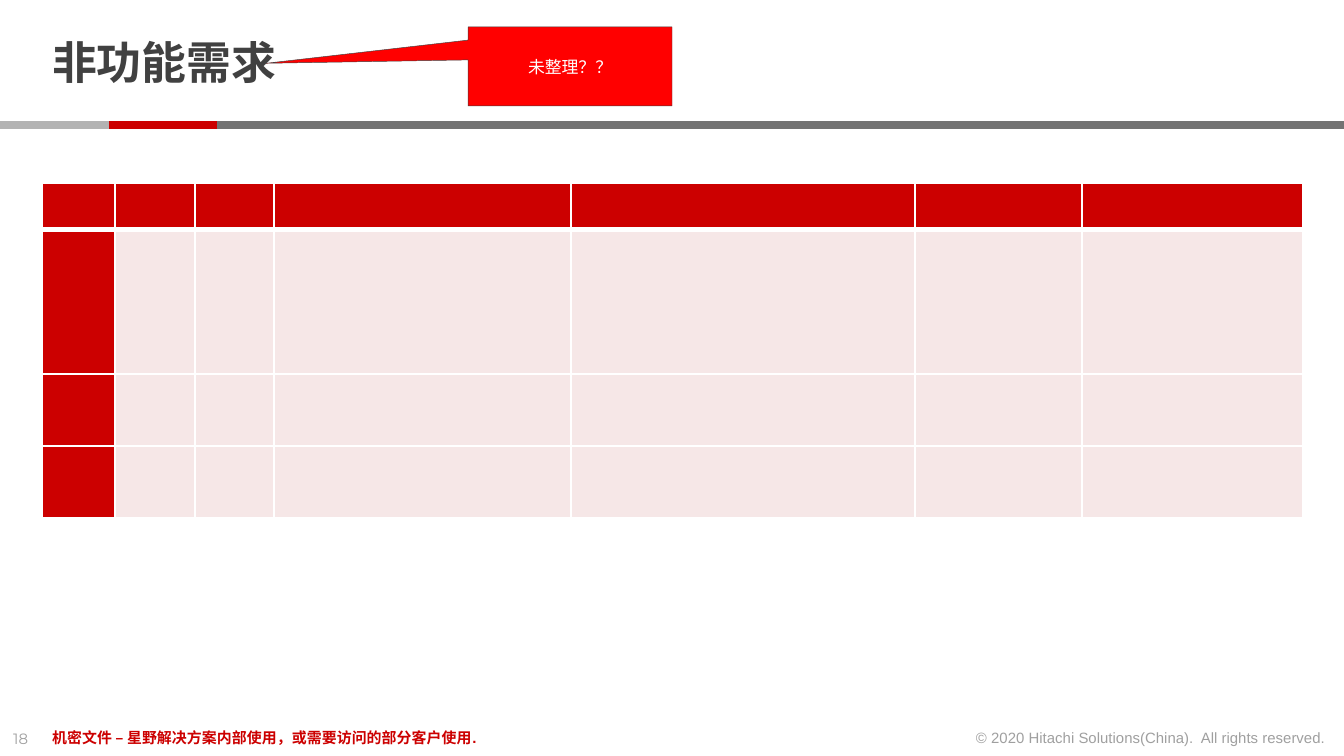
import pptx
import pptx.util
import pptx.dml.color
import pptx.enum.shapes
import pptx.enum.text
import pptx.oxml
import pptx.oxml.ns
from lxml import etree

PX = 914400 / 134.4
COLORS = {
    "red": "CC0000", "pink": "F6E7E7", "dark": "414141", "gray": "737373",
    "light": "B3B3B3", "white": "FFFFFF", "alert": "FF0000",
}
SHAPE = pptx.enum.shapes.MSO_SHAPE
ALIGN = pptx.enum.text.PP_ALIGN
MIDDLE = pptx.enum.text.MSO_ANCHOR.MIDDLE
COLUMNS = [73, 80, 79, 297, 344, 167, 221]
ROWS = [47, 144, 72, 72]


def px(n):
    return pptx.util.Emu(round(n * PX))


def rgb(name):
    return pptx.dml.color.RGBColor.from_string(COLORS[name])


def write(tf, text, size, font, color, bold=False, align=ALIGN.LEFT):
    """Fill the first paragraph of a frame and return it."""
    p = tf.paragraphs[0]
    p.text = text
    p.alignment = align
    p.font.size = pptx.util.Pt(size)
    p.font.name = font
    p.font.bold = bold
    p.font.color.rgb = rgb(color)
    return p


def add_text(s, box, text, size, font, color, wrap=True, **style):
    tf = s.shapes.add_textbox(*map(px, box)).text_frame
    tf.word_wrap = wrap
    return tf, write(tf, text, size, font, color, **style)


def fade(p):
    """Make the text of a paragraph half transparent."""
    for clr in p._p.iter(pptx.oxml.ns.qn("a:srgbClr")):
        etree.SubElement(clr, pptx.oxml.ns.qn("a:alpha"), val="50000")


def add_shape(s, kind, box, fill):
    sp = s.shapes.add_shape(kind, *map(px, box))
    sp.shadow.inherit = False
    sp.fill.solid()
    sp.fill.fore_color.rgb = rgb(fill)
    sp.line.fill.background()
    return sp


def add_title(s):
    tf, p = add_text(s, (39, 17, 1036, 98), "非功能需求", 24, "Montserrat", "dark", bold=True)
    tf.margin_top = tf.margin_bottom = 0
    tf.vertical_anchor = MIDDLE
    p.line_spacing = 0.85


def add_callout(s):
    sp = add_shape(s, SHAPE.RECTANGULAR_CALLOUT, (468, 27, 204, 79), "alert")
    sp.adjustments[0] = -1.49
    sp.adjustments[1] = -0.04
    sp.line.color.rgb = rgb("dark")
    sp.line.width = pptx.util.Pt(0.25)
    sp.text_frame.vertical_anchor = MIDDLE
    write(sp.text_frame, "未整理？？", 9, "Noto Sans CJK SC", "white", align=ALIGN.CENTER)


def set_borders(cell, bottom):
    tcPr = cell._tc.get_or_add_tcPr()
    widths = {"lnL": 1, "lnR": 1, "lnT": 1, "lnB": bottom}
    for i, (tag, width) in enumerate(widths.items()):
        tcPr.insert(i, pptx.oxml.parse_xml(
            f'<a:{tag} {pptx.oxml.ns.nsdecls("a")} w="{pptx.util.Pt(width)}">'
            f'<a:solidFill><a:srgbClr val="{COLORS["white"]}"/></a:solidFill></a:{tag}>'))


def add_requirements_table(s):
    table = s.shapes.add_table(len(ROWS), len(COLUMNS), px(42), px(183),
                               px(sum(COLUMNS)), px(sum(ROWS))).table
    for col, width in zip(table.columns, COLUMNS):
        col.width = px(width)
    for i, (row, height) in enumerate(zip(table.rows, ROWS)):
        row.height = px(height)
        for j, cell in enumerate(row.cells):
            cell.margin_top = cell.margin_bottom = 0
            cell.fill.solid()
            cell.fill.fore_color.rgb = rgb("red" if i == 0 or j == 0 else "pink")
            set_borders(cell, bottom=3 if i == 0 else 1)


def add_footer(s):
    _, number = add_text(s, (0, 723, 46, 32), "18", 8, "Montserrat", "dark", wrap=False)
    _, rights = add_text(s, (957, 722, 382, 32),
                         "© 2020 Hitachi Solutions(China).\u00a0 All rights reserved.".replace("\u00a0", " "),
                         8, "Arial", "dark", wrap=False, align=ALIGN.RIGHT)
    fade(number)
    fade(rights)
    add_text(s, (39, 722, 906, 32), "机密文件 – 星野解决方案内部使用，或需要访问的部分客户使用.",
             8, "Arial", "red", bold=True)


def main():
    prs = pptx.Presentation()
    prs.slide_width, prs.slide_height = px(1344), px(756)
    s = prs.slides.add_slide(prs.slide_layouts[6])
    for left, right, color in [(217, 1344, "gray"), (109, 217, "red"), (0, 109, "light")]:
        add_shape(s, SHAPE.RECTANGLE, (left, 121, right - left, 8), color)
    add_footer(s)
    add_title(s)
    add_requirements_table(s)
    add_callout(s)
    prs.save("out.pptx")


if __name__ == "__main__":
    main()
